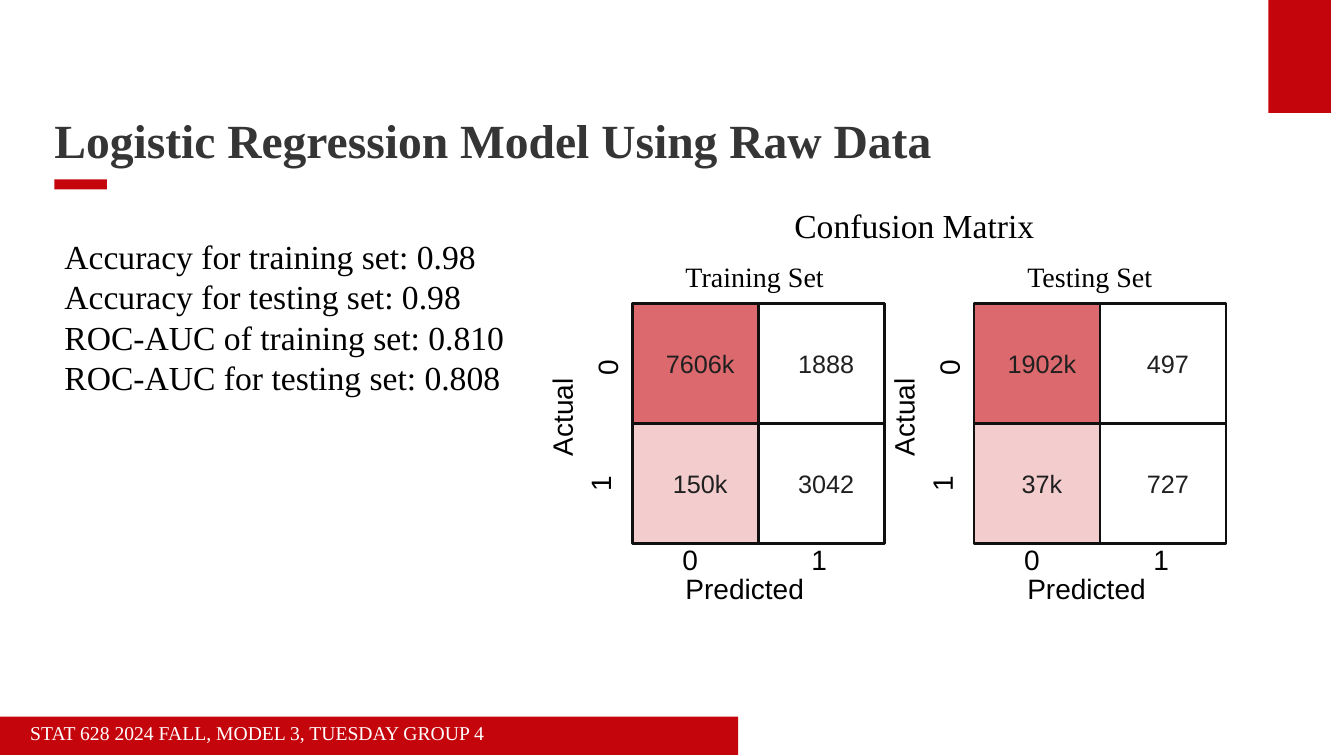
"""Build the slide on a logistic regression model with two confusion matrices."""
from dataclasses import dataclass
from lxml.etree import SubElement as Sub
from pptx import Presentation
from pptx.dml.color import RGBColor as Rgb
from pptx.enum.shapes import MSO_SHAPE as Shape
from pptx.enum.text import MSO_ANCHOR as Anchor, PP_ALIGN as Align
from pptx.oxml.ns import qn
from pptx.util import Pt

SCALE = 9144


@dataclass(frozen=True)
class Theme:
    """Colours, fonts and type sizes of the slide."""
    red: str = "C5050C"
    white: str = "FFFFFF"
    black: str = "000000"
    title: str = "353535"
    edge: str = "101010"
    value: str = "202020"
    serif: str = "Times New Roman"
    sans: str = "Arial"
    head: int = 34
    body: int = 24
    label: int = 20
    cell: int = 18
    foot: int = 14


THEME = Theme()


def px(*sizes):
    """Turn px lengths into EMU."""
    return [size * SCALE for size in sizes]


def write(shape, text, size, color, font=THEME.serif, bold=False,
          align=Align.LEFT, anchor=Anchor.TOP, inset=(10, 5, 0, 5), lead=1.0):
    """Put formatted text into a shape."""
    frame = shape.text_frame
    frame.text = text
    frame.word_wrap = True
    frame.vertical_anchor = anchor
    (frame.margin_left, frame.margin_top,
     frame.margin_right, frame.margin_bottom) = px(*inset)
    for para in frame.paragraphs:
        para.alignment = align
        para.line_spacing = lead
        for run in para.runs:
            run.font.size = Pt(size)
            run.font.name = font
            run.font.bold = bold
            run.font.color.rgb = Rgb.from_string(color)


def add_text(shapes, box, text, size, color=THEME.black, **style):
    """Add a text box and return it."""
    shape = shapes.add_textbox(*px(*box))
    write(shape, text, size, color, **style)
    return shape


def add_side(shapes, box, text):
    """Add a label that reads upwards."""
    shape = add_text(shapes, box, text, THEME.label, font=THEME.sans,
                     align=Align.CENTER, anchor=Anchor.MIDDLE,
                     inset=(0, 0, 0, 0))
    shape.text_frame._txBody.bodyPr.set("vert", "vert270")


def add_rect(shapes, box, color, alpha=100, edge=None):
    """Add a filled rectangle and return it."""
    shape = shapes.add_shape(Shape.RECTANGLE, *px(*box))
    shape.shadow.inherit = False
    shape.fill.solid()
    shape.fill.fore_color.rgb = Rgb.from_string(color)
    if alpha < 100:
        tint = shape._element.spPr.find(qn("a:solidFill"))[0]
        Sub(tint, qn("a:alpha"), val=str(alpha * 1000))
    if edge:
        shape.line.color.rgb = Rgb.from_string(edge)
        shape.line.width = Pt(2)
    else:
        shape.line.fill.background()
    return shape


def add_matrix(slide, left, name, rows):
    """Add one labelled confusion matrix as a group."""
    shapes = slide.shapes.add_group_shape().shapes
    top, wide, high = 301, 125, 119
    for i, (row, alpha) in enumerate(zip(rows, (60, 20))):
        fills = ((THEME.red, alpha), (THEME.white, 100))
        for j, (value, fill) in enumerate(zip(row, fills)):
            box = (left + j * wide, top + i * high, wide, high)
            cell = add_rect(shapes, box, *fill, edge=THEME.edge)
            write(cell, value, THEME.cell, THEME.value, font=THEME.sans,
                  align=Align.CENTER, anchor=Anchor.MIDDLE)
    add_side(shapes, (left - 97, 370, 54, 88), "Actual")
    add_side(shapes, (left - 52, 352, 54, 26), "0")
    add_side(shapes, (left - 59, 467, 54, 26), "1")
    for shift, y, width, text in ((43, 562, 139, "Predicted"),
                                  (168, 533, 36, "1"), (40, 533, 36, "0")):
        add_text(shapes, (left + shift, y, width, 44), text,
                 THEME.label, font=THEME.sans)
    add_text(shapes, (left + 43, 253, 251, 44), name, THEME.label)


def main():
    """Build and save the slide."""
    deck = Presentation()
    deck.slide_width, deck.slide_height = px(1333, 750)
    slide = deck.slides.add_slide(deck.slide_layouts[6])
    shapes = slide.shapes
    add_rect(shapes, (1258, 0, 62, 112), THEME.red)
    add_rect(shapes, (54, 178, 52, 10), THEME.red)
    add_text(shapes, (54, 50, 1167, 117),
             "Logistic Regression Model Using Raw Data", THEME.head,
             THEME.title, bold=True, anchor=Anchor.BOTTOM,
             inset=(0, 5, 10, 0), lead=0.9)
    footer = add_rect(shapes, (0, 711, 732, 38), THEME.red)
    write(footer, "STAT 628 2024 FALL, MODEL 3, TUESDAY GROUP 4", THEME.foot,
          THEME.white, anchor=Anchor.MIDDLE, inset=(30, 7, 20, 10), lead=0.9)
    scores = ("Accuracy for training set: 0.98",
              "Accuracy for testing set: 0.98",
              "ROC-AUC of training set: 0.810",
              "ROC-AUC for testing set: 0.808")
    add_text(shapes, (54, 229, 1201, 172), "\n".join(scores), THEME.body)
    add_matrix(slide, 627, "Training Set",
               (("7606k", "1888"), ("150k", "3042")))
    add_text(shapes, (778, 198, 312, 50), "Confusion Matrix", THEME.body)
    add_matrix(slide, 966, "Testing Set",
               (("1902k", "497"), ("37k", "727")))
    deck.save("out.pptx")


if __name__ == "__main__":
    main()
